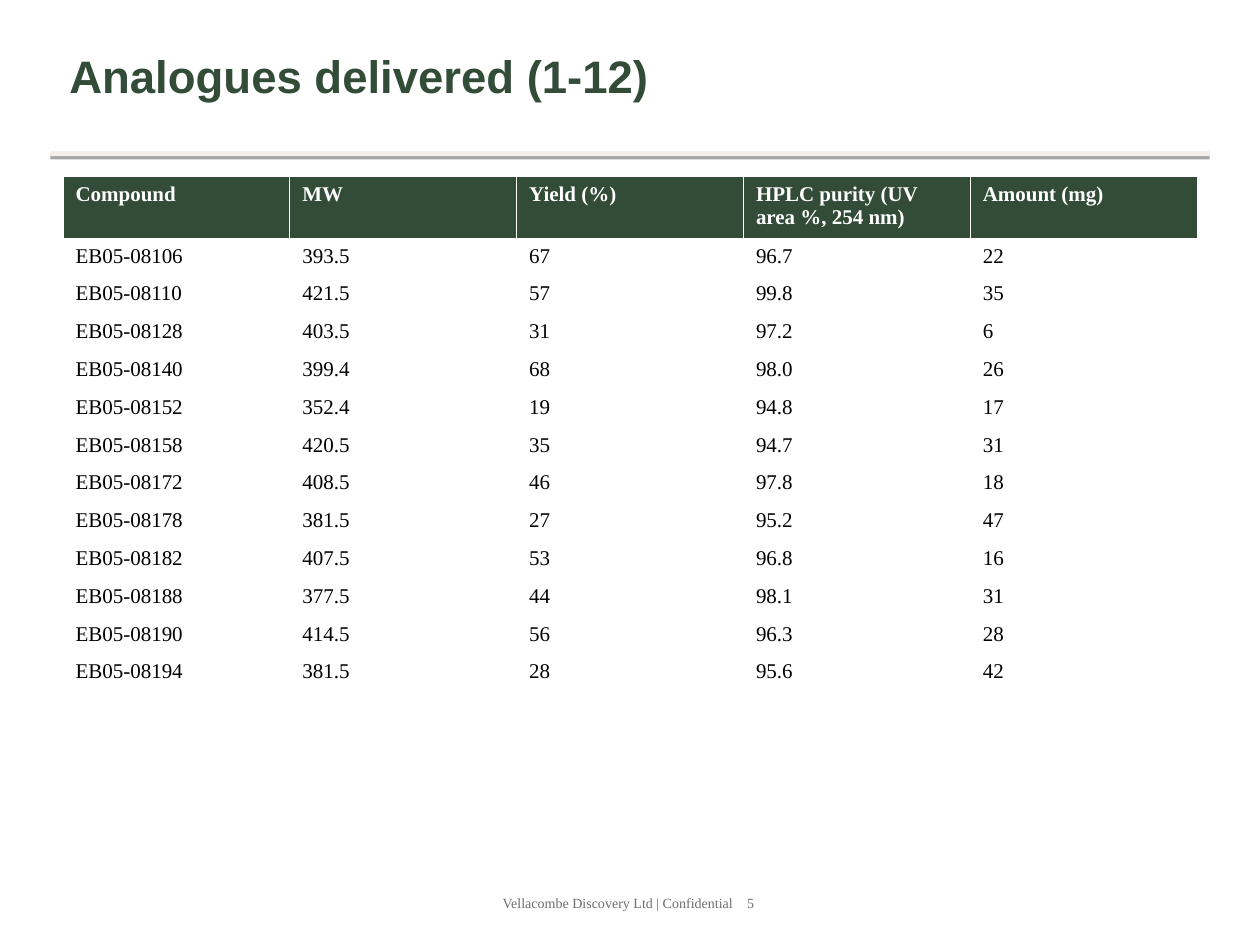
from typing import NamedTuple

import pptx
import pptx.dml.color
import pptx.enum.shapes
import pptx.enum.text
import pptx.oxml
import pptx.oxml.ns
import pptx.util
from pptx.dml.color import RGBColor
from pptx.util import Inches

GREEN = RGBColor(0x32, 0x4C, 0x38)
WHITE = RGBColor(0xFF, 0xFF, 0xFF)
BLACK = RGBColor(0x00, 0x00, 0x00)
CREAM = RGBColor(0xF2, 0xF0, 0xE9)
GREY = RGBColor(0x6E, 0x6E, 0x6E)

NAMESPACE = pptx.oxml.ns.nsdecls("a")


class TextStyle(NamedTuple):
    font: str
    size: float
    color: RGBColor
    bold: bool = False


class Analogue(NamedTuple):
    compound: str
    weight: str
    yield_percent: str
    purity: str
    amount: str


TITLE = TextStyle("Arial", 26, GREEN, True)
HEADER = TextStyle("Times New Roman", 12, WHITE, True)
BODY = TextStyle("Times New Roman", 12, BLACK)
FOOTER = TextStyle("Times New Roman", 8, GREY)

HEADINGS = Analogue("Compound", "MW", "Yield (%)",
                    "HPLC purity (UV area %, 254 nm)", "Amount (mg)")
ANALOGUES = [
    Analogue("EB05-08106", "393.5", "67", "96.7", "22"),
    Analogue("EB05-08110", "421.5", "57", "99.8", "35"),
    Analogue("EB05-08128", "403.5", "31", "97.2", "6"),
    Analogue("EB05-08140", "399.4", "68", "98.0", "26"),
    Analogue("EB05-08152", "352.4", "19", "94.8", "17"),
    Analogue("EB05-08158", "420.5", "35", "94.7", "31"),
    Analogue("EB05-08172", "408.5", "46", "97.8", "18"),
    Analogue("EB05-08178", "381.5", "27", "95.2", "47"),
    Analogue("EB05-08182", "407.5", "53", "96.8", "16"),
    Analogue("EB05-08188", "377.5", "44", "98.1", "31"),
    Analogue("EB05-08190", "414.5", "56", "96.3", "28"),
    Analogue("EB05-08194", "381.5", "28", "95.6", "42"),
]


def add_run(paragraph, text: str, style: TextStyle) -> None:
    paragraph.alignment = pptx.enum.text.PP_ALIGN.LEFT
    run = paragraph.add_run()
    run.text = text
    run.font.name = style.font
    run.font.size = pptx.util.Pt(style.size)
    run.font.bold = style.bold
    run.font.color.rgb = style.color


def add_title(slide, text: str) -> None:
    title = slide.shapes.title
    title.left, title.top = Inches(0.45), Inches(0.15)
    title.width, title.height = Inches(9.1), Inches(0.9)
    title.text_frame.vertical_anchor = pptx.enum.text.MSO_ANCHOR.MIDDLE
    add_run(title.text_frame.paragraphs[0], text, TITLE)


def add_rule(slide) -> None:
    """Draw the thin bar under the title, with a hard shadow below it."""
    rule = slide.shapes.add_shape(
        pptx.enum.shapes.MSO_SHAPE.RECTANGLE,
        Inches(0.4), Inches(1.2), Inches(9.2), Inches(0.04))
    rule.fill.solid()
    rule.fill.fore_color.rgb = CREAM
    rule.line.fill.background()
    rule.shadow.inherit = False
    effects = rule._element.spPr.find(pptx.oxml.ns.qn("a:effectLst"))
    effects.append(pptx.oxml.parse_xml(
        f'<a:outerShdw {NAMESPACE} blurRad="0" dist="{pptx.util.Pt(1.8)}" '
        'dir="5400000" rotWithShape="0"><a:srgbClr val="000000">'
        '<a:alpha val="35000"/></a:srgbClr></a:outerShdw>'))


def set_borders(cell, color: RGBColor, width: float) -> None:
    properties = cell._tc.get_or_add_tcPr()
    for position, side in enumerate(("lnL", "lnR", "lnT", "lnB")):
        properties.insert(position, pptx.oxml.parse_xml(
            f'<a:{side} {NAMESPACE} w="{pptx.util.Pt(width)}"><a:solidFill>'
            f'<a:srgbClr val="{color}"/></a:solidFill></a:{side}>'))


def fill_row(table, row: int, values: Analogue, style: TextStyle, fill: RGBColor) -> None:
    for column, value in enumerate(values):
        cell = table.cell(row, column)
        cell.fill.solid()
        cell.fill.fore_color.rgb = fill
        set_borders(cell, WHITE, 0.45)
        add_run(cell.text_frame.paragraphs[0], value, style)


def add_analogue_table(slide) -> None:
    header_height, row_height = Inches(0.49), Inches(0.3)
    table = slide.shapes.add_table(
        len(ANALOGUES) + 1, len(HEADINGS), Inches(0.5), Inches(1.4),
        Inches(9), header_height + row_height * len(ANALOGUES)).table
    table.horz_banding = False
    for row in table.rows:
        row.height = row_height
    table.rows[0].height = header_height
    fill_row(table, 0, HEADINGS, HEADER, GREEN)
    for row, analogue in enumerate(ANALOGUES, start=1):
        fill_row(table, row, analogue, BODY, WHITE)


def add_footer(slide, notice: str, page: str) -> None:
    """Place the notice and, at a tab stop, the page number."""
    footer = slide.shapes.add_textbox(
        Inches(3.89), Inches(7.05), Inches(2.21), Inches(0.23))
    footer.text_frame.word_wrap = True
    line = footer.text_frame.paragraphs[0]
    line._p.get_or_add_pPr().append(pptx.oxml.parse_xml(
        f'<a:tabLst {NAMESPACE}><a:tab pos="{Inches(1.94)}" algn="l"/></a:tabLst>'))
    add_run(line, f"{notice}\t{page}", FOOTER)


def main() -> None:
    deck = pptx.Presentation()
    deck.slide_width, deck.slide_height = Inches(10), Inches(7.5)
    slide = deck.slides.add_slide(deck.slide_layouts.get_by_name("Title Only"))
    add_title(slide, "Analogues delivered (1-12)")
    add_rule(slide)
    add_analogue_table(slide)
    add_footer(slide, "Vellacombe Discovery Ltd | Confidential", "5")
    deck.save("out.pptx")


if __name__ == "__main__":
    main()
